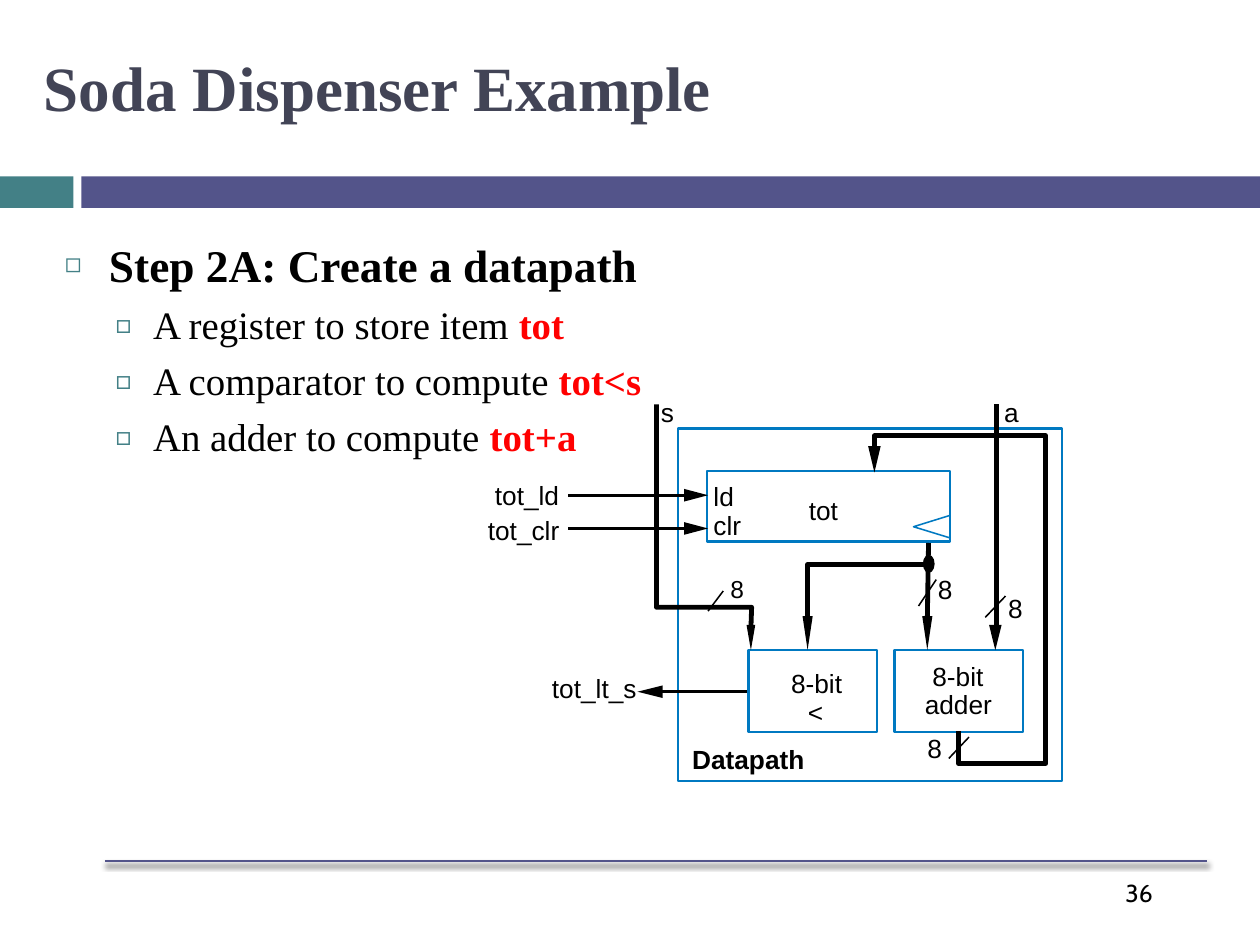
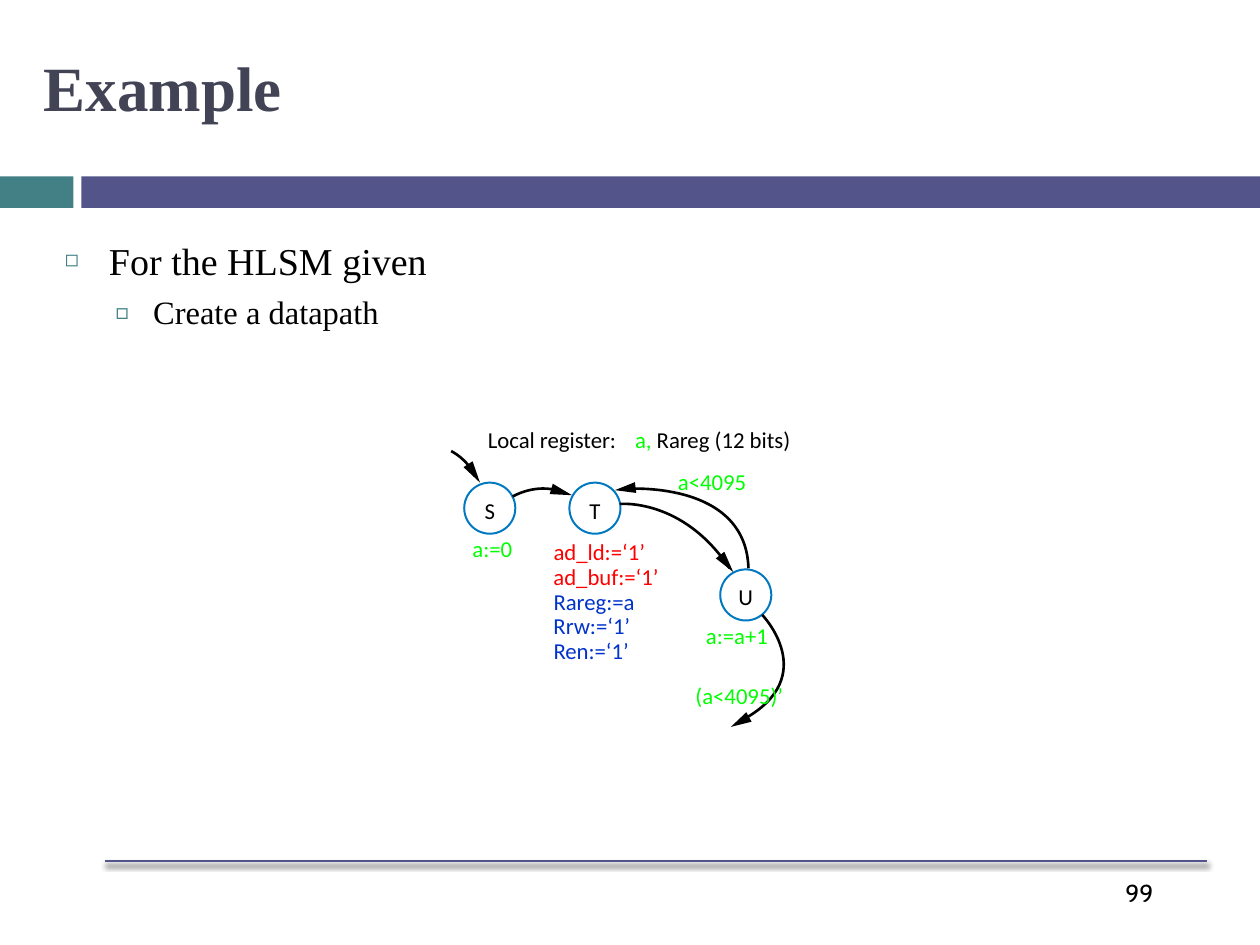
"""Build two slides on register-transfer design: a soda dispenser datapath and an HLSM."""
from math import hypot

from lxml.etree import SubElement
from pptx import Presentation
from pptx.dml.color import RGBColor
from pptx.enum.shapes import MSO_CONNECTOR, MSO_SHAPE
from pptx.enum.text import MSO_ANCHOR, PP_ALIGN
from pptx.oxml.ns import qn
from pptx.util import Pt

BLACK = RGBColor(0, 0, 0)
TEAL = RGBColor(0x43, 0x80, 0x86)
PURPLE = RGBColor(0x53, 0x54, 0x8A)
SLATE = RGBColor(0x42, 0x44, 0x56)
RED = RGBColor(0xFF, 0, 0)
GREEN = RGBColor(0, 0xFF, 0)
BLUE = RGBColor(0, 0x33, 0xCC)
OUTLINE = RGBColor(0, 0x79, 0xC1)
SERIF, SANS, STATE_FONT, NUMBER_FONT = "Times New Roman", "Arial", "Calibri", "Cabin"

WIRE, SIGNAL, SLASH = 2.75, 1.88, 0.88
LABEL_SLACK = 8

DISPENSER = {
    "title": "Soda Dispenser Example",
    "number": "36",
    "sizes": (25.9, 22.2),
    "heading_bold": True,
    "bullets": [
        (0, "Step 2A: Create a datapath", ""),
        (1, "A register to store item ", "tot"),
        (1, "A comparator to compute ", "tot<s"),
        (1, "An adder to compute ", "tot+a"),
    ],
}
HLSM = {
    "title": "Example",
    "number": "99",
    "sizes": (21.7, 18.6),
    "heading_bold": False,
    "bullets": [(0, "For the HLSM given", ""), (1, "Create a datapath", "")],
}
BULLET_LEVELS = [
    {"char": "◻", "size": 60, "indent": 25.2, "hang": 25.2},
    {"char": "□", "size": 70, "indent": 50.4, "hang": 21.6},
]

BLOCKS = [
    (387.3, 244.8, 219.6, 201.6),
    (403.9, 269.3, 139, 40.3),
    (427.7, 371.5, 73.4, 46.8),
    (511.2, 371.5, 73.4, 46.8),
]
BUSES = [
    [(461.5, 355.7), (461.5, 322.6), (530.6, 322.6)],
    [(499.7, 257.8), (499.7, 249.1), (597.6, 249.1), (597.6, 436.3),
     (547.9, 436.3), (547.9, 417.6)],
    [(429.1, 359.3), (429.5, 347), (375.1, 347), (375.1, 231.1)],
]
CLOCK_MARK = [(542.9, 307.4), (522, 301), (542.9, 294.5)]
STRAIGHT_WIRES = [
    ((530.6, 310.3), (529.9, 355.7), WIRE),
    ((569.5, 359.3), (569.5, 231.1), WIRE),
    ((427, 395.3), (375.8, 395.3), SIGNAL),
    ((324.7, 283), (393.1, 283), SIGNAL),
    ((324.7, 302), (393.1, 302), SIGNAL),
    ((535, 331.2), (524.9, 346.3), SLASH),
    ((553.7, 421.2), (542.2, 433.4), SLASH),
    ((413.3, 337.7), (404.6, 349.2), SLASH),
    ((574.6, 340.6), (563, 352.8), SLASH),
]
JUNCTION = (527.8, 317.5, 5.8, 9.4)
DATAPATH_HEADS = [
    ((461.5, 371.5), (461.5, 352.1), 5.8),
    ((529.9, 371.5), (529.9, 352.1), 5.8),
    ((429.1, 371.5), (429.1, 357.1), 5),
    ((568.8, 371.5), (568.8, 357.1), 7.2),
    ((499.7, 270), (499.7, 254.9), 7.2),
    ((364.3, 395.3), (378.7, 395.3), 7.2),
    ((404.6, 283), (391, 283), 7.2),
    ((404.6, 302), (391, 302), 7.2),
]
DATAPATH_LABELS = [
    ("8", 535.9, 327.6, 8.3),
    ("8", 529.9, 418.3, 8.3),
    ("8", 576, 338.4, 8.3),
    ("s", 377.6, 226.5, 7.5),
    ("a", 573.8, 226.5, 8.3),
    ("tot_ld", 282.8, 273.6, 36.7),
    ("tot_clr", 278.8, 293.8, 41),
    ("tot_lt_s", 315.4, 384.2, 48.2),
    ("ld", 407.7, 274.3, 11.7),
    ("clr", 407.7, 290.9, 16.7),
    ("tot", 462.2, 282.2, 16.7),
    ("8-bit", 452, 381.3, 29.5),
    ("<", 461.7, 397.7, 8.8),
    ("8-bit", 532.8, 377.3, 29.5),
    ("adder", 528.5, 393.1, 38.5),
]

STATE_SIZE = 29.2
STATES = [("S", 265.3, 275.8), ("T", 325.4, 275.8), ("U", 411.6, 325.4)]
TRANSITIONS = [
    ((257.8, 257.8), (267.1, 262.1), (271.4, 272.2)),
    ((293, 283.7), (306, 275.8), (320.4, 280.8)),
    ((354.2, 288), (390.2, 284.4), (416.9, 324.7)),
    ((356.4, 279.4), (426.2, 273.6), (427.7, 324.7)),
    ((435.6, 351.4), (469.4, 386.6), (424.8, 411.1)),
]
TRANSITION_HEADS = [
    ((274.3, 275.8), (267.5, 265.3)),
    ((326.9, 283), (315, 279.4)),
    ((419, 326.9), (411.5, 317.2)),
    ((417.6, 415.4), (428, 409.7)),
    ((351.4, 280.1), (363.2, 278.6)),
]
ACTIONS = [("ad_ld:=‘1’", RED, 56.2), ("ad_buf:=‘1’", RED, 64.1),
           ("Rareg:=a", BLUE, 54), ("Rrw:=‘1’", BLUE, 47.5), ("Ren:=‘1’", BLUE, 48.2)]
ACTIONS_LEFT, ACTIONS_TOP, ACTION_PITCH = 316.3, 307.5, 14.1
CONDITIONS = [
    ("a:=0", 270, 305.7, 25.9),
    ("a:=a+1", 403.4, 355, 40.3),
    ("(a<4095)’", 397.4, 389.5, 55.4),
    ("a<4095", 387.4, 267.1, 43.9),
]
REGISTER_TOP = 243.4


def points(*lengths):
    return [Pt(length) for length in lengths]


def style(paragraph, font, size, color=None, bold=False):
    paragraph.font.name, paragraph.font.size, paragraph.font.bold = font, Pt(size), bold
    if color is not None:
        paragraph.font.color.rgb = color


def paint(shape, fill=None, line=None, width=0):
    shape.shadow.inherit = False
    if fill is None:
        shape.fill.background()
    else:
        shape.fill.solid()
        shape.fill.fore_color.rgb = fill
    if line is None:
        shape.line.fill.background()
    else:
        shape.line.color.rgb, shape.line.width = line, Pt(width)
    return shape


def draw_shape(slide, kind, bounds, **colors):
    return paint(slide.shapes.add_shape(kind, *points(*bounds)), **colors)


def draw_outline(slide, corners, close=False, **colors):
    start, *rest = [points(*corner) for corner in corners]
    builder = slide.shapes.build_freeform(*start)
    builder.add_line_segments(rest, close=close)
    return paint(builder.convert_to_shape(), **colors)


def draw_curve(slide, start, control, end):
    curve = draw_outline(slide, [start, start, control, end], line=BLACK, width=1.5)
    route = next(curve._element.iter(qn("a:path")))
    segments = route.findall(qn("a:lnTo"))
    bezier = SubElement(route, qn("a:cubicBezTo"))
    for segment in segments:
        bezier.append(segment[0])
        route.remove(segment)


def draw_head(slide, tip, base, width):
    dx, dy = tip[0] - base[0], tip[1] - base[1]
    half = width / 2 / hypot(dx, dy)
    left = base[0] - dy * half, base[1] + dx * half
    right = base[0] + dy * half, base[1] - dx * half
    draw_outline(slide, [tip, left, right], close=True, fill=BLACK)


def draw_line(slide, start, end, width, color=BLACK):
    line = slide.shapes.add_connector(MSO_CONNECTOR.STRAIGHT, *points(*start, *end))
    line.line.color.rgb, line.line.width = color, Pt(width)
    return SubElement(line._element.spPr, qn("a:effectLst"))


def add_text(slide, bounds, insets):
    frame = slide.shapes.add_textbox(*points(*bounds)).text_frame
    frame.word_wrap = True
    frame.margin_left = frame.margin_right = Pt(insets[0])
    frame.margin_top = frame.margin_bottom = Pt(insets[1])
    return frame


def add_run(paragraph, text, color, bold=None):
    run = paragraph.add_run()
    run.text = text
    run.font.color.rgb, run.font.bold = color, bold


def add_label(slide, text, left, top, width, font, size, color=BLACK, bold=False):
    frame = add_text(slide, (left, top, width + LABEL_SLACK, size * 1.2), (0, 0))
    paragraph = frame.paragraphs[0]
    paragraph.text = text
    style(paragraph, font, size, color, bold)
    return paragraph


def set_bullet(paragraph, level):
    bullet = BULLET_LEVELS[level]
    props = paragraph._p.get_or_add_pPr()
    props.set("marL", str(Pt(bullet["indent"])))
    props.set("indent", str(-Pt(bullet["hang"])))
    color = SubElement(props, qn("a:buClr"))
    SubElement(color, qn("a:srgbClr")).set("val", str(TEAL))
    SubElement(props, qn("a:buSzPct")).set("val", str(bullet["size"] * 1000))
    SubElement(props, qn("a:buFont")).set("typeface", STATE_FONT)
    SubElement(props, qn("a:buChar")).set("char", bullet["char"])


def add_footer(slide, number):
    effects = draw_line(slide, (60, 492), (690, 492), 1.5, PURPLE)
    shadow = SubElement(effects, qn("a:outerShdw"), blurRad=str(Pt(3)), dist=str(Pt(2.4)),
                        dir="5400000", algn="ctr", rotWithShape="0")
    tint = SubElement(shadow, qn("a:srgbClr"), val=str(BLACK))
    SubElement(tint, qn("a:alpha"), val="45000")
    paragraph = add_text(slide, (636, 498, 54, 36), (7.2, 3.6)).paragraphs[0]
    paragraph.text = number
    style(paragraph, NUMBER_FONT, 14, BLACK)


def add_content_slide(deck, content):
    slide = deck.slides.add_slide(deck.slide_layouts[6])
    draw_shape(slide, MSO_SHAPE.RECTANGLE, (0, 100.8, 42, 18), fill=TEAL)
    draw_shape(slide, MSO_SHAPE.RECTANGLE, (46.5, 100.8, 673.5, 18), fill=PURPLE)
    add_footer(slide, content["number"])

    title = add_text(slide, (18, 24, 678, 66), (7.2, 4)).paragraphs[0]
    title.text = content["title"]
    style(title, SERIF, 36, SLATE, True)

    body = add_text(slide, (30, 132, 591, 30 * len(content["bullets"])), (7.2, 3.6))
    for index, (level, text, term) in enumerate(content["bullets"]):
        paragraph = body.add_paragraph() if index else body.paragraphs[0]
        paragraph.level = level
        paragraph.space_before = Pt(5.3 if index else 0)
        set_bullet(paragraph, level)
        style(paragraph, SERIF, content["sizes"][level],
              bold=level == 0 and content["heading_bold"])
        add_run(paragraph, text, BLACK)
        if term:
            add_run(paragraph, term, RED, True)
    return slide


def draw_datapath(slide):
    for bounds in BLOCKS:
        draw_shape(slide, MSO_SHAPE.RECTANGLE, bounds, line=OUTLINE, width=1.38)
    for corners in BUSES:
        draw_outline(slide, corners, line=BLACK, width=WIRE)
    draw_outline(slide, CLOCK_MARK, line=OUTLINE, width=SLASH)
    for start, end, width in STRAIGHT_WIRES:
        draw_line(slide, start, end, width)
    for head in DATAPATH_HEADS:
        draw_head(slide, *head)
    draw_shape(slide, MSO_SHAPE.OVAL, JUNCTION, fill=BLACK, line=BLACK, width=SLASH)
    for label in DATAPATH_LABELS:
        add_label(slide, *label, SANS, 15)
    add_label(slide, "8", 417.4, 328, 7.8, SANS, 14)
    add_label(slide, "Datapath", 395.5, 424.8, 64.2, SANS, 15, bold=True)


def draw_state_machine(slide):
    for name, left, top in STATES:
        state = draw_shape(slide, MSO_SHAPE.OVAL, (left, top, STATE_SIZE, STATE_SIZE),
                           line=OUTLINE, width=1.13)
        frame = state.text_frame
        frame.margin_left = frame.margin_right = frame.margin_bottom = 0
        frame.margin_top, frame.vertical_anchor = Pt(2), MSO_ANCHOR.MIDDLE
        frame.text = name
        frame.paragraphs[0].alignment = PP_ALIGN.CENTER
        style(frame.paragraphs[0], STATE_FONT, 13, BLACK)
    for transition in TRANSITIONS:
        draw_curve(slide, *transition)
    for tip, base in TRANSITION_HEADS:
        draw_head(slide, tip, base, 6.2)
    for row, (action, color, width) in enumerate(ACTIONS):
        add_label(slide, action, ACTIONS_LEFT, ACTIONS_TOP + row * ACTION_PITCH, width,
                  STATE_FONT, 13, color)
    for condition in CONDITIONS:
        add_label(slide, *condition, STATE_FONT, 13, GREEN)
    add_label(slide, "Local register:", 278.8, REGISTER_TOP, 74, STATE_FONT, 13)
    registers = add_label(slide, "", 362.9, REGISTER_TOP, 90, STATE_FONT, 13)
    add_run(registers, "a, ", GREEN)
    add_run(registers, "Rareg (12 bits)", BLACK)


def main():
    deck = Presentation()
    deck.slide_width, deck.slide_height = Pt(720), Pt(540)
    draw_datapath(add_content_slide(deck, DISPENSER))
    draw_state_machine(add_content_slide(deck, HLSM))
    deck.save("out.pptx")


if __name__ == "__main__":
    main()
